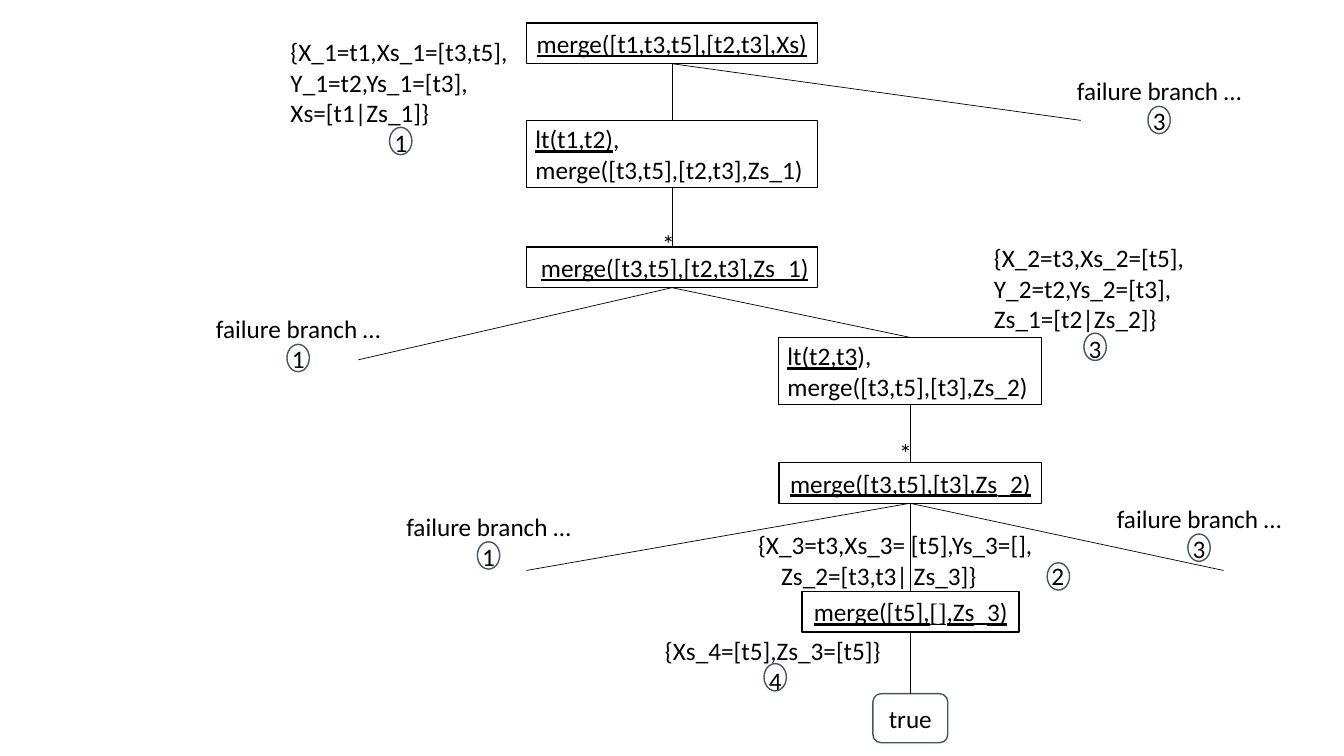
from pptx import Presentation
from pptx.dml.color import RGBColor
from pptx.enum.shapes import MSO_CONNECTOR, MSO_SHAPE
from pptx.enum.text import MSO_ANCHOR, PP_ALIGN
from pptx.oxml.ns import qn
from pptx.util import Pt
from lxml import etree

RECT, ROUND, OVAL = MSO_SHAPE.RECTANGLE, MSO_SHAPE.ROUNDED_RECTANGLE, MSO_SHAPE.OVAL
LEFT, CENTER, RIGHT = PP_ALIGN.LEFT, PP_ALIGN.CENTER, PP_ALIGN.RIGHT
MIDDLE = MSO_ANCHOR.MIDDLE
STRAIGHT = MSO_CONNECTOR.STRAIGHT
SANS, SERIF = "Calibri", "Times New Roman"
BLACK, SLATE = "000000", "44546A"


def add_outline(kind, x, y, w, h, color):
    sp = s.shapes.add_shape(kind, Pt(x), Pt(y), Pt(w), Pt(h))
    sp.shadow.inherit = False
    sp.fill.background()
    sp.line.color.rgb = RGBColor.from_string(color)
    sp.line.width = Pt(1)
    return sp


def write(sp, lines):
    """Each line is (alignment, runs); each run is (text, underline, font)."""
    tf = sp.text_frame
    tf.word_wrap = True
    tf.vertical_anchor = MIDDLE
    tf.margin_left = Pt(6.5)
    tf.margin_right = tf.margin_top = tf.margin_bottom = 0
    for i, (align, runs) in enumerate(lines):
        p = tf.paragraphs[0] if i == 0 else tf.add_paragraph()
        p.alignment = align
        if align != LEFT:
            tf.margin_right = Pt(6.5)
        for text, underline, font in runs:
            r = p.add_run()
            r.text = text
            r.font.size = Pt(18)
            r.font.name = font
            r.font.underline = underline
            r.font.color.rgb = RGBColor.from_string(BLACK)


prs = Presentation()
prs.slide_width, prs.slide_height = Pt(960), Pt(540)
s = prs.slides.add_slide(prs.slide_layouts[6])

# Goals of the search tree
goals = [
    (RECT, 376, 16.5, 208, 29, BLACK,
     [(CENTER, [("merge([t1,t3,t5],[t2,t3],Xs)", True, SANS)])]),
    (RECT, 376, 86, 208, 48, BLACK,
     [(LEFT, [("lt(t1,t2)", True, SANS), (",", False, SANS)]),
      (LEFT, [("merge([t3,t5],[t2,t3],Zs_1)", False, SANS)])]),
    (RECT, 376, 176.5, 208, 29, BLACK,
     [(RIGHT, [("merge([t3,t5],[t2,t3],Zs", True, SANS), ("_", True, SERIF),
               ("1)", True, SANS)])]),
    (RECT, 556, 241, 188, 48, BLACK,
     [(LEFT, [("lt(t2,t3", True, SANS), ("),", False, SANS)]),
      (LEFT, [("merge([t3,t5],[t3],Zs_2)", False, SANS)])]),
    (RECT, 556.5, 330.5, 187.5, 29, BLACK,
     [(CENTER, [("merge([t3,t5],[t3],Zs", True, SANS), ("_", True, SERIF),
                ("2)", True, SANS)])]),
    (RECT, 573, 422.5, 155, 29, BLACK,
     [(CENTER, [("merge([t5],", True, SANS), ("[]", True, SERIF),
                (",Zs", True, SANS), ("_", True, SERIF), ("3)", True, SANS)])]),
    (ROUND, 623.5, 495.5, 53.5, 35, SLATE, [(CENTER, [("true", False, SANS)])]),
]
for *frame, color, lines in goals:
    write(add_outline(*frame, color), lines)

# Branches: the successful path, then the failures
upper, lower = 480, 650
branches = [
    (upper, 45.5, upper, 86), (upper, 134, upper, 176.5),
    (upper, 205.5, lower, 241), (lower, 289, lower, 330.5),
    (lower, 359.5, lower, 422.5), (lower, 451.5, lower, 495.5),
    (upper, 45.5, 772, 86), (upper, 205.5, 256, 257),
    (lower, 359.5, 874, 407.5), (lower, 359.5, 376, 407.5),
]
for branch in branches:
    c = s.shapes.add_connector(STRAIGHT, *[Pt(v) for v in branch])
    c.line.color.rgb = RGBColor.from_string(BLACK)
    c.line.width = Pt(0.5)
    etree.SubElement(c._element.spPr, qn("a:effectLst"))

# Substitutions and failures, each with its clause number in a circle below
FAIL = ["failure branch …"]
notes = [
    (201, 24, 170.5, 91, LEFT,
     ["{X_1=t1,Xs_1=[t3,t5],", "Y_1=t2,Ys_1=[t3],", "Xs=[t1|Zs_1]}"], "1"),
    (755.5, 51, 145, 49, CENTER, FAIL, "3"),
    (140.5, 221, 145, 49, CENTER, FAIL, "1"),
    (703.5, 171, 157.5, 91, LEFT,
     ["{X_2=t3,Xs_2=[t5],", "Y_2=t2,Ys_2=[t3],", "Zs_1=[t2|Zs_2]}"], "3"),
    (276.5, 362, 145, 49, CENTER, FAIL, "1"),
    (784, 356.5, 145, 49, CENTER, FAIL, "3"),
    (468.5, 453, 170.5, 45, LEFT, ["{Xs_4=[t5],Zs_3=[t5]}"], "4"),
]
circles = [(748, 402)]
for x, y, w, h, align, texts, clause in notes:
    tb = s.shapes.add_textbox(Pt(x), Pt(y), Pt(w), Pt(h))
    lines = [(align, [(text, False, SANS)]) for text in texts]
    write(tb, lines + [(CENTER, [(clause, False, SANS)])])
    circles.append((x + w / 2 - 8, y + h - 24))

# Third substitution, with its clause number on the second line
tb = s.shapes.add_textbox(Pt(535), Pt(378), Pt(237), Pt(44))
write(tb, [(LEFT, [("{X_3=t3,Xs_3= [t5],Ys_3=[],", False, SANS)]),
           (LEFT, [("\tZs_2=[t3,t3| Zs_3]}\t2", False, SANS)])])
pPr = tb.text_frame.paragraphs[1]._p.get_or_add_pPr()
tabs = etree.SubElement(pPr, qn("a:tabLst"))
for stop in (16.5, 209.5):
    etree.SubElement(tabs, qn("a:tab"), pos=str(Pt(stop)), algn="l")

for x, y in circles:
    add_outline(OVAL, x, y, 16, 19.5, SLATE)

# Stars on the steps that are abbreviated
for x, y in [(466.5, 166.5), (636, 315.5)]:
    tb = s.shapes.add_textbox(Pt(x), Pt(y), Pt(13), Pt(15))
    write(tb, [(LEFT, [("*", False, SANS)])])

prs.save("out.pptx")
